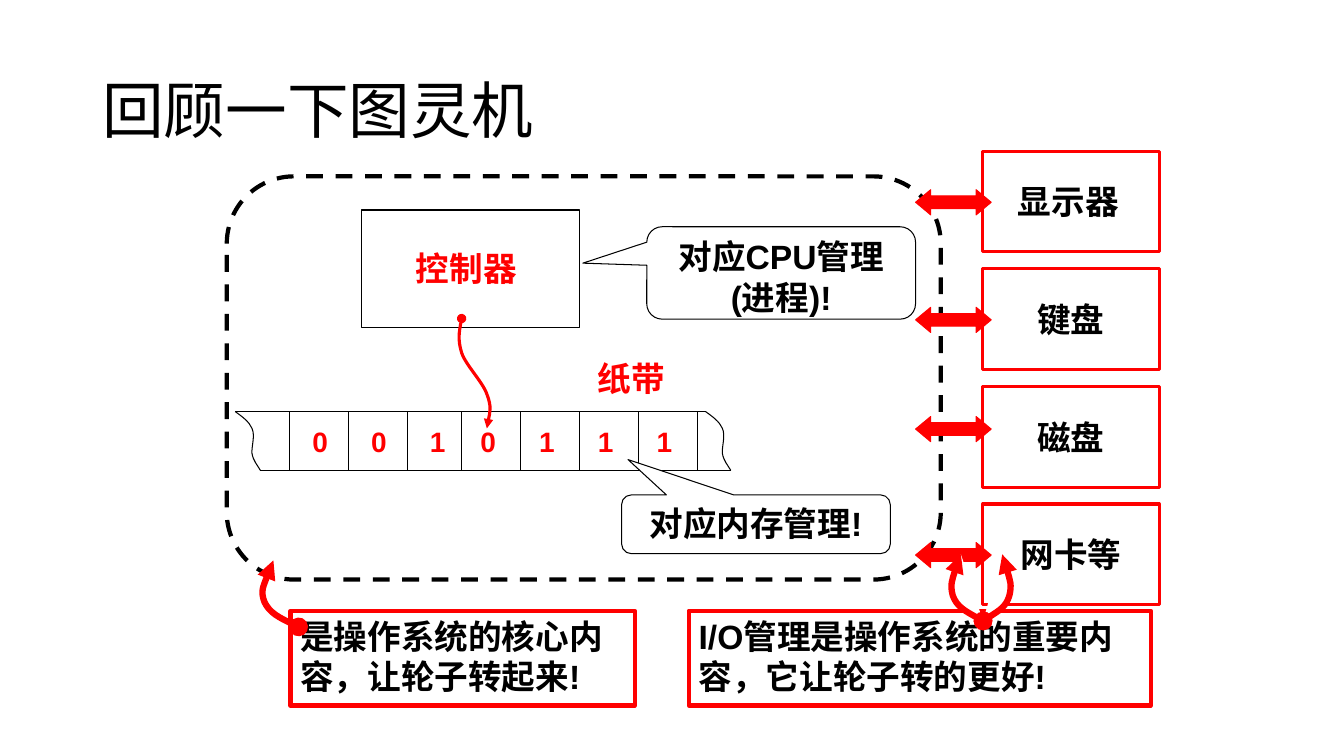
from lxml.etree import SubElement
from pptx import Presentation
from pptx.dml.color import RGBColor
from pptx.enum.dml import MSO_LINE
from pptx.enum.shapes import MSO_CONNECTOR, MSO_SHAPE
from pptx.enum.text import MSO_ANCHOR, PP_ALIGN
from pptx.oxml.ns import qn
from pptx.util import Pt

RED, BLACK, WHITE = "FF0000", "000000", "FFFFFF"
LEFT, CENTER = PP_ALIGN.LEFT, PP_ALIGN.CENTER


def color(hex_string):
    return RGBColor.from_string(hex_string)


def paint(shape, fill, line, width):
    shape.shadow.inherit = False
    if fill:
        shape.fill.solid()
        shape.fill.fore_color.rgb = color(fill)
    else:
        shape.fill.background()
    shape.line.color.rgb = color(line)
    shape.line.width = Pt(width)


def write(shape, text, text_color=BLACK, size=24, align=LEFT, bold=True,
          font="Arial", anchor=MSO_ANCHOR.TOP):
    frame = shape.text_frame
    frame.text = text
    frame.word_wrap = True
    frame.vertical_anchor = anchor
    paragraph = frame.paragraphs[0]
    paragraph.alignment = align
    for run in paragraph.runs:
        run.font.name = font
        run.font.size = Pt(size)
        run.font.bold = bold
        run.font.color.rgb = color(text_color)
    return paragraph


def add_label(slide, box, text, **style):
    return write(slide.shapes.add_textbox(*map(Pt, box)), text, **style)


def add_box(slide, kind, box, fill=None, line=BLACK, width=0.75, adjustments=()):
    shape = slide.shapes.add_shape(kind, *map(Pt, box))
    paint(shape, fill, line, width)
    for index, value in enumerate(adjustments):
        shape.adjustments[index] = value
    return shape


def add_line(slide, x1, y1, x2, y2):
    line = slide.shapes.add_connector(MSO_CONNECTOR.STRAIGHT, *map(Pt, (x1, y1, x2, y2)))
    line.line.color.rgb = color(BLACK)
    line.line.width = Pt(0.75)
    SubElement(line._element.spPr, qn("a:effectLst"))


def add_curve(slide, left, top, points, line=RED, width=4.5, fill=None, arrow=True):
    """Draw cubic curves: a start point, then three points per segment."""
    start, *rest = [(Pt(left + x), Pt(top + y)) for x, y in points]
    builder = slide.shapes.build_freeform(*start)
    builder.add_line_segments(rest, close=False)
    shape = builder.convert_to_shape()
    paint(shape, fill, line, width)
    # Join each three straight steps into one cubic segment
    steps = list(shape._element.iter(qn("a:lnTo")))
    for index in range(0, len(steps), 3):
        first, *others = steps[index:index + 3]
        first.tag = qn("a:cubicBezTo")
        for step in others:
            first.append(step[0])
            step.getparent().remove(step)
    if arrow:
        outline = shape.line._get_or_add_ln()
        SubElement(outline, qn("a:headEnd"), type="oval")
        SubElement(outline, qn("a:tailEnd"), type="triangle")


def add_title(slide, box, text):
    paragraph = add_label(slide, box, text, size=44, bold=False, font="Calibri",
                          anchor=MSO_ANCHOR.MIDDLE)
    paragraph.line_spacing = 0.9


def add_tape(slide, left, top, height, digits):
    # Long edges and torn ends
    length, slant = 336, 18
    add_line(slide, left, top, left + length, top)
    add_line(slide, left + slant, top + height, left + slant + length, top + height)
    tear = [(0, 0), (5, 3.6), (10, 7.2), (12, 12), (14.4, 17.3), (11.5, 25.2),
            (12, 30), (13, 35.3), (15.8, 38.2), (slant, height)]
    for end in (left, left + length):
        add_curve(slide, end, top, tear, BLACK, 0.75, arrow=False)
    # Cells: the third one is slightly narrower
    edges = [left + 39 + 42 * i - 3 * (i > 2) for i in range(len(digits) + 1)]
    for edge in edges:
        add_line(slide, edge, top, edge, top + height)
    for i, digit in enumerate(digits):
        inset = 9 if i < 3 else 6
        add_label(slide, (edges[i] + inset, top + 5.5, 30, 31), digit,
                  text_color=RED, size=20)


def add_machine(slide, left, top, width, height):
    # Controller
    add_box(slide, MSO_SHAPE.RECTANGLE, (left + 96, top + 24, 156, 84), WHITE)
    add_label(slide, (left + 108, top + 47.5, 126, 36), "控制器",
              text_color=RED, align=CENTER)
    # Tape and reading head
    add_tape(slide, left + 6, top + 168, 42, "0010111")
    add_label(slide, (left + 258, top + 126, 78, 36), "纸带", text_color=RED)
    add_curve(slide, left, top, [
        (167.8, 101.5), (166.3, 109.4), (164.9, 116.6), (167.8, 126), (170.6, 134.6),
        (182.9, 146.9), (185.8, 155.5), (189.4, 164.9), (187.2, 172), (185.8, 180)],
        width=2.25)
    # Callouts
    for x, y, callout_height, tail, text in (
            (300, 36, 66, (-0.738, -0.106), "对应CPU管理(进程)!"),
            (282, 227.5, 42, (-0.476, -1.101), "对应内存管理!")):
        callout = add_box(slide, MSO_SHAPE.ROUNDED_RECTANGULAR_CALLOUT,
                          (left + x, top + y, 192, callout_height), WHITE,
                          adjustments=(*tail, 0.167))
        write(callout, text, align=CENTER)
    # Boundary
    boundary = add_box(slide, MSO_SHAPE.ROUNDED_RECTANGLE, (left, top, width, height),
                       width=3, adjustments=(0.167,))
    boundary.line.dash_style = MSO_LINE.DASH


def add_devices(slide, left, top, width, height, pitch):
    devices = [("显示器", 18, LEFT, 27.5), ("键盘", 12, CENTER, 27.5),
               ("磁盘", 12, CENTER, 21.5), ("网卡等", 12, CENTER, 27.5)]
    for i, (name, indent, align, arrow_drop) in enumerate(devices):
        y = top + pitch * i
        add_box(slide, MSO_SHAPE.RECTANGLE, (left, y, width, height), line=RED, width=2.25)
        add_label(slide, (left + indent, y + 18, 102, 36), name, align=align)
        add_box(slide, MSO_SHAPE.LEFT_RIGHT_ARROW, (left - 48, y + arrow_drop, 54, 18),
                RED, RED, adjustments=(0.5, 0.6))


def add_note(slide, box, text, curves, fill=None):
    note = add_box(slide, MSO_SHAPE.RECTANGLE, box, fill, RED, 3)
    write(note, text)
    for points in curves:
        add_curve(slide, box[0], box[1], points, fill=fill)


def main():
    presentation = Presentation()
    presentation.slide_width, presentation.slide_height = Pt(960), Pt(540)
    slide = presentation.slides.add_slide(presentation.slide_layouts[6])

    add_title(slide, (66, 28.8, 828, 104.4), "回顾一下图灵机")
    add_machine(slide, 162, 126, 510, 288)
    add_devices(slide, 702, 108, 126, 72, 84)
    add_note(slide, (207.5, 436.3, 246, 67.7), "是操作系统的核心内容，让轮子转起来!", [
        [(5.8, 11.5), (-5, 6.5), (-15.1, 1.4), (-18.7, -6.5),
         (-21.6, -14.4), (-16.6, -25.2), (-12.2, -36)]])
    add_note(slide, (492, 436.3, 330, 67.7),
             "I/O管理是操作系统的重要内容，它让轮子转的更好!", [
                 [(210.2, 7.2), (218.2, 2.2), (226.8, -2.9), (229, -10.8),
                  (231, -18.7), (227.5, -29.5), (223.9, -40.3)],
                 [(210.2, 7.2), (200.9, 2.2), (191.5, -2.9), (188.6, -10.8),
                  (186.5, -18.7), (190, -29.5), (194.4, -40.3)]], WHITE)
    presentation.save("out.pptx")


if __name__ == "__main__":
    main()
